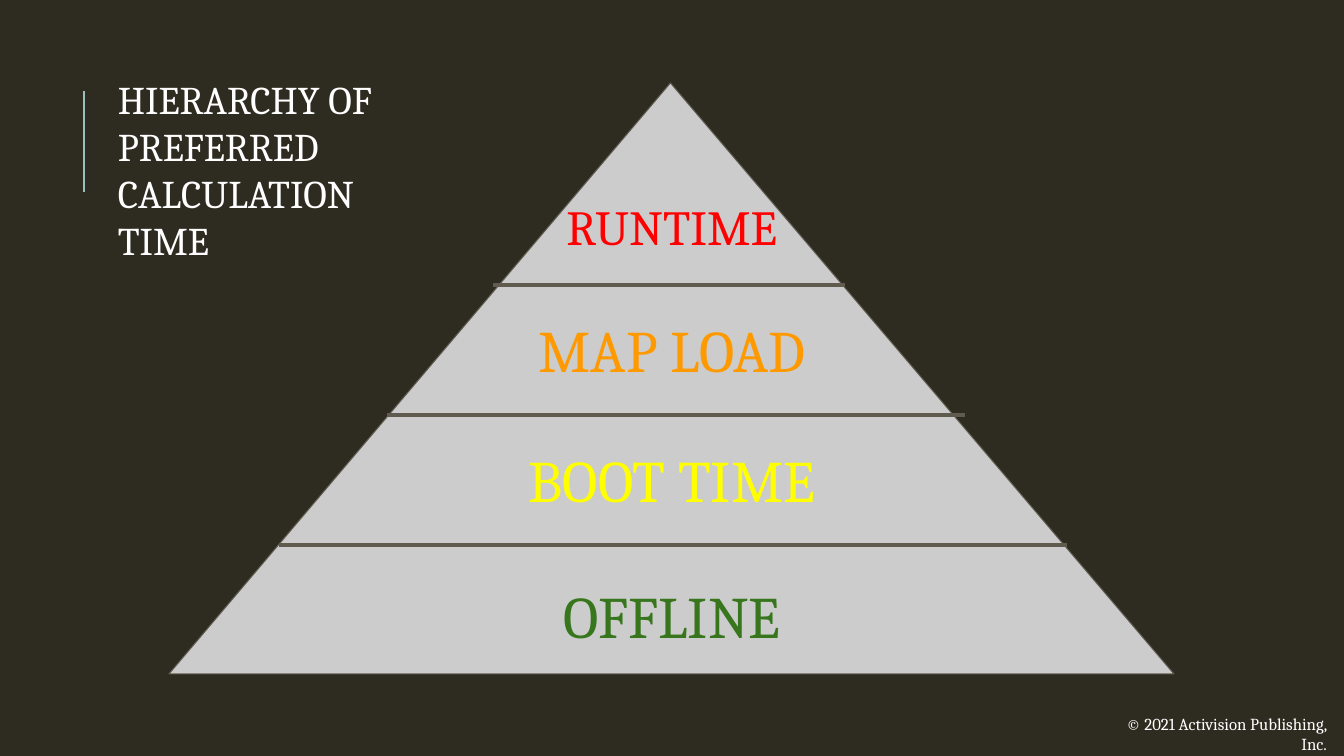
import pptx
import pptx.dml.color
import pptx.enum.shapes
import pptx.enum.text
import pptx.oxml.ns
import pptx.util
from lxml import etree

RGBColor = pptx.dml.color.RGBColor
ALIGN = pptx.enum.text.PP_ALIGN
SHAPES = pptx.enum.shapes

BACKGROUND = RGBColor(0x2E, 0x2B, 0x21)
ACCENT = RGBColor(0x9C, 0xBE, 0xBD)
PYRAMID_FILL = RGBColor(0xCC, 0xCC, 0xCC)
EDGE = RGBColor(0x60, 0x5B, 0x4F)
WHITE = RGBColor(0xFF, 0xFF, 0xFF)
RED = RGBColor(0xFF, 0x00, 0x00)
ORANGE = RGBColor(0xFF, 0x99, 0x00)
YELLOW = RGBColor(0xFF, 0xFF, 0x00)
GREEN = RGBColor(0x38, 0x76, 0x1D)

FONT = "Cambria"
PX_PER_INCH = 100.8
SLIDE_SIZE = (1344, 756)
MARGIN = 10

TITLE = "HIERARCHY OF PREFERRED CALCULATION TIME"
TITLE_BOX = (108, 65, 352, 163)
TITLE_RULE = (84, 192, 84, 91)
COPYRIGHT = "© 2021 Activision Publishing, Inc."
COPYRIGHT_BOX = (1091, 704, 246, 40)

PYRAMID_BOX = (169, 83, 1005, 591)
PYRAMID_APEX = 0.499
FIRST_DIVIDER_TOP = 285
DIVIDER_STEP = 130
DIVIDER_ENDS = [(493, 845), (387, 965), (279, 1067)]

LABEL_LEFT, LABEL_WIDTH = 419, 506
# text, top, height, point size, colour
LEVELS = [
    ("RUNTIME", 187, 80, 35, RED),
    ("MAP LOAD", 304, 92, 42, ORANGE),
    ("BOOT TIME", 434, 92, 42, YELLOW),
    ("OFFLINE", 570, 92, 42, GREEN),
]


def px(*lengths):
    return [pptx.util.Inches(length / PX_PER_INCH) for length in lengths]


def set_attributes(target, values):
    for name, value in values.items():
        setattr(target, name, value)


def add_line(slide, ends, color, width):
    line = slide.shapes.add_connector(SHAPES.MSO_CONNECTOR.STRAIGHT, *px(*ends))
    line.line.color.rgb = color
    line.line.width = pptx.util.Pt(width)
    etree.SubElement(line._element.spPr, pptx.oxml.ns.qn("a:effectLst"))


def add_text(slide, box, text, size, color, alignment):
    frame = slide.shapes.add_textbox(*px(*box)).text_frame
    margin = px(MARGIN)[0]
    set_attributes(frame, {
        "word_wrap": True,
        "auto_size": pptx.enum.text.MSO_AUTO_SIZE.SHAPE_TO_FIT_TEXT,
        "margin_left": margin, "margin_right": margin,
        "margin_top": margin, "margin_bottom": margin,
    })
    paragraph = frame.paragraphs[0]
    paragraph.alignment = alignment
    run = paragraph.add_run()
    run.text = text
    set_attributes(run.font, {"name": FONT, "size": pptx.util.Pt(size)})
    run.font.color.rgb = color


def add_pyramid(slide):
    pyramid = slide.shapes.add_shape(
        SHAPES.MSO_SHAPE.ISOSCELES_TRIANGLE, *px(*PYRAMID_BOX))
    pyramid.adjustments[0] = PYRAMID_APEX
    pyramid.shadow.inherit = False
    pyramid.fill.solid()
    pyramid.fill.fore_color.rgb = PYRAMID_FILL
    pyramid.line.color.rgb = EDGE
    pyramid.line.width = pptx.util.Pt(0.75)
    for index, (left, right) in enumerate(DIVIDER_ENDS):
        top = FIRST_DIVIDER_TOP + index * DIVIDER_STEP
        add_line(slide, (left, top, right, top), EDGE, 3)
    for text, top, height, size, color in LEVELS:
        box = (LABEL_LEFT, top, LABEL_WIDTH, height)
        add_text(slide, box, text, size, color, ALIGN.CENTER)


def main():
    presentation = pptx.Presentation()
    presentation.slide_width, presentation.slide_height = px(*SLIDE_SIZE)
    slide = presentation.slides.add_slide(presentation.slide_layouts[6])
    slide.background.fill.solid()
    slide.background.fill.fore_color.rgb = BACKGROUND
    add_line(slide, TITLE_RULE, ACCENT, 1.5)
    add_pyramid(slide)
    add_text(slide, TITLE_BOX, TITLE, 28, WHITE, ALIGN.LEFT)
    add_text(slide, COPYRIGHT_BOX, COPYRIGHT, 12, WHITE, ALIGN.RIGHT)
    presentation.save("out.pptx")


if __name__ == "__main__":
    main()
